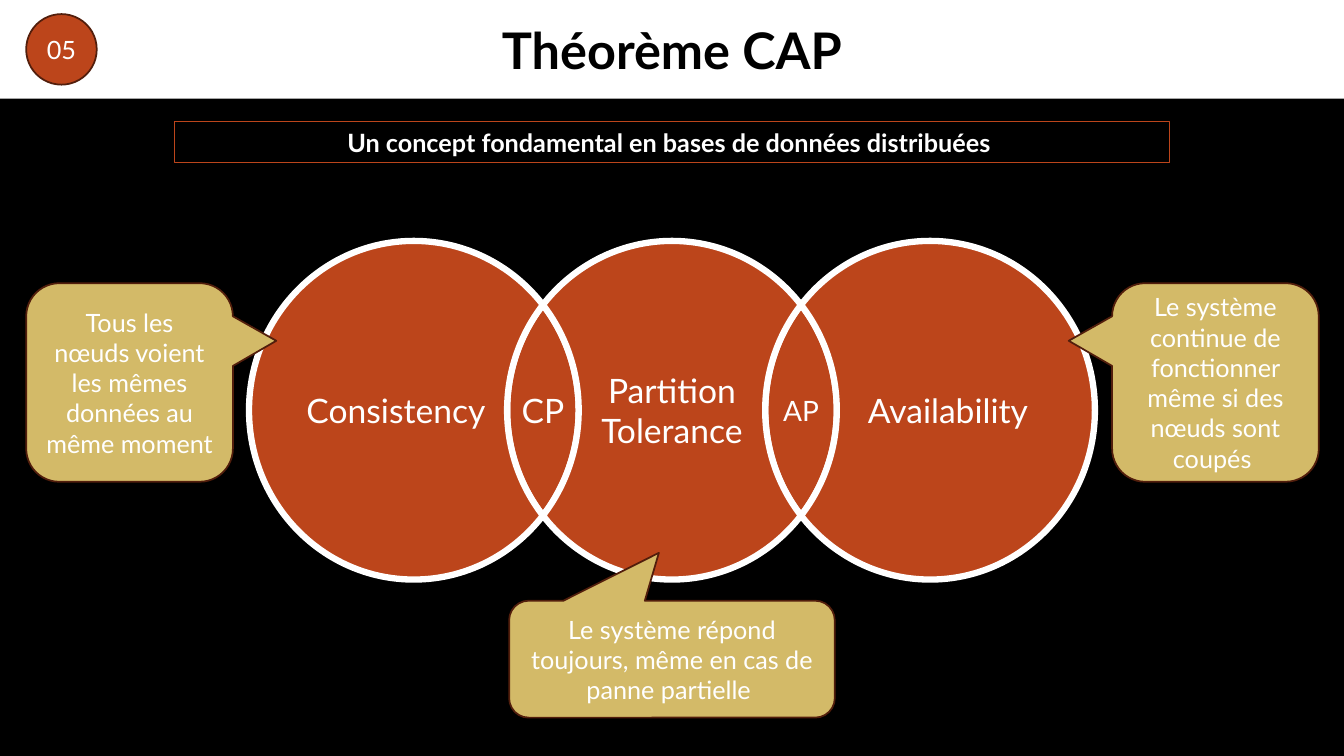
"""Build the slide on the CAP theorem."""
import math
from dataclasses import dataclass

import lxml.etree
import pptx
import pptx.dml.color
import pptx.enum.shapes
import pptx.enum.text
import pptx.oxml.ns
import pptx.util

Inches = pptx.util.Inches
Kind = pptx.enum.shapes.MSO_SHAPE
Anchor = pptx.enum.text.MSO_ANCHOR
Fit = pptx.enum.text.MSO_AUTO_SIZE
qn = pptx.oxml.ns.qn


@dataclass(frozen=True)
class Theme:
    font: str = "Lato"
    black: str = "000000"
    white: str = "FFFFFF"
    rust: str = "BC451B"
    brown: str = "521E0C"
    gold: str = "D3BA68"
    title: int = 36
    large: int = 24
    medium: int = 20
    body: int = 18


@dataclass(frozen=True)
class Arc:
    ring: int
    start: float
    end: float


@dataclass(frozen=True)
class Zone:
    text: str
    size: int
    arcs: tuple[Arc, ...]


@dataclass(frozen=True)
class Callout:
    text: str
    box: tuple[float, float, float, float]
    tip: tuple[float, float]


THEME = Theme()
MID_X, MID_Y = 13.33 / 2, 4.07
RAD_X, RAD_Y = 3.27 / 2, 3.36 / 2
STEP = 2.56
CROSS = math.degrees(math.acos(STEP / 2 / RAD_X))


def right_side(ring: int) -> Arc:
    return Arc(ring, -CROSS, CROSS)


def left_side(ring: int) -> Arc:
    return Arc(ring, 180 - CROSS, 180 + CROSS)


def turn(arc: Arc) -> Arc:
    return Arc(arc.ring, arc.end, arc.start)


ZONES = (
    Zone("CP", THEME.large, (right_side(0), left_side(1))),
    Zone("AP", THEME.medium, (right_side(1), left_side(2))),
    Zone("Consistency", THEME.large,
         (Arc(0, CROSS, 360 - CROSS), turn(left_side(1)))),
    Zone("Partition Tolerance", THEME.large,
         (Arc(1, 180 + CROSS, 360 - CROSS), turn(left_side(2)),
          Arc(1, CROSS, 180 - CROSS), turn(right_side(0)))),
    Zone("Availability", THEME.large,
         (Arc(2, 180 + CROSS, 540 - CROSS), turn(right_side(1)))),
)

CALLOUTS = (
    Callout("Tous les nœuds voient les mêmes données au même moment",
            (0.26, 2.81, 2.05, 1.97), (0.71, -0.21)),
    Callout("Le système continue de fonctionner même si des nœuds sont coupés ",
            (11.03, 2.81, 2.05, 1.97), (-0.71, -0.21)),
    Callout("Le système répond toujours, même en cas de panne partielle ",
            (5.05, 5.96, 3.23, 1.16), (-0.04, -0.91)),
)


def colour(code: str) -> pptx.dml.color.RGBColor:
    return pptx.dml.color.RGBColor.from_string(code)


def outline(shape, line: str, width: float) -> None:
    shape.line.color.rgb = colour(line)
    shape.line.width = pptx.util.Pt(width)


def paint(shape, fill: str, line: str, width: float) -> None:
    shape.shadow.inherit = False
    shape.fill.solid()
    shape.fill.fore_color.rgb = colour(fill)
    outline(shape, line, width)


def write(shape, text: str, size: int, ink: str = THEME.white,
          bold: bool = False) -> None:
    frame = shape.text_frame
    frame.text = text
    frame.word_wrap = True
    frame.auto_size = Fit.NONE
    frame.vertical_anchor = Anchor.MIDDLE
    para = frame.paragraphs[0]
    para.alignment = pptx.enum.text.PP_ALIGN.CENTER
    para.font.name = THEME.font
    para.font.size = pptx.util.Pt(size)
    para.font.bold = bold
    para.font.color.rgb = colour(ink)


def place(ring: int, angle: float, pull: float = 0) -> tuple[int, int]:
    turned = math.radians(angle)
    across = math.cos(turned) - pull * math.sin(turned)
    down = math.sin(turned) + pull * math.cos(turned)
    return (Inches(MID_X + (ring - 1) * STEP + RAD_X * across),
            Inches(MID_Y + RAD_Y * down))


def trace(arc: Arc) -> list[tuple[int, int]]:
    low, high = sorted((arc.start, arc.end))
    stops = [low, *(a for a in range(0, 540, 90) if low < a < high), high]
    if arc.start > arc.end:
        stops.reverse()
    points = []
    for start, end in zip(stops, stops[1:]):
        pull = 4 / 3 * math.tan(math.radians(end - start) / 4)
        points += [place(arc.ring, start, pull), place(arc.ring, end, -pull),
                   place(arc.ring, end)]
    return points


def bend(shape) -> None:
    lines = list(shape._element.iter(qn("a:lnTo")))
    for first in range(0, len(lines), 3):
        group = lines[first:first + 3]
        curve = lxml.etree.Element(qn("a:cubicBezTo"))
        group[0].addprevious(curve)
        for line in group:
            curve.append(line[0])
            line.getparent().remove(line)


def draw_zone(shapes, zone: Zone) -> None:
    first = zone.arcs[0]
    pen = shapes.build_freeform(*place(first.ring, first.start))
    pen.add_line_segments([point for arc in zone.arcs for point in trace(arc)])
    shape = pen.convert_to_shape()
    bend(shape)
    outlines = next(shape._element.iter(qn("a:path")))
    lxml.etree.SubElement(outlines, qn("a:close"))
    for extra in list(outlines.iter(qn("a:close")))[:-1]:
        outlines.remove(extra)
    paint(shape, THEME.rust, THEME.white, 4.5)
    write(shape, zone.text, zone.size)


def draw_callout(shapes, note: Callout) -> None:
    shape = shapes.add_shape(Kind.ROUNDED_RECTANGULAR_CALLOUT,
                             *map(Inches, note.box))
    shape.adjustments[0], shape.adjustments[1] = note.tip
    paint(shape, THEME.gold, THEME.brown, 1.25)
    write(shape, note.text, THEME.body)


def main() -> None:
    deck = pptx.Presentation()
    deck.slide_width, deck.slide_height = Inches(13.33), Inches(7.5)
    slide = deck.slides.add_slide(deck.slide_layouts.get_by_name("Title Only"))
    slide.background.fill.solid()
    slide.background.fill.fore_color.rgb = colour(THEME.black)
    shapes = slide.shapes

    title = shapes.title
    title.left, title.top = Inches(0), Inches(0)
    title.width, title.height = deck.slide_width, Inches(0.98)
    title.fill.solid()
    title.fill.fore_color.rgb = colour(THEME.white)
    write(title, "Théorème CAP", THEME.title, THEME.black, True)

    for zone in ZONES:
        draw_zone(shapes, zone)

    badge = shapes.add_shape(Kind.OVAL, *map(Inches, (0.26, 0.14, 0.7, 0.7)))
    paint(badge, THEME.rust, THEME.brown, 1.25)
    write(badge, "05", THEME.body)

    banner = shapes.add_textbox(*map(Inches, (1.73, 1.21, 9.87, 0.4)))
    outline(banner, THEME.rust, 0.75)
    write(banner, "Un concept fondamental en bases de données distribuées ",
          THEME.body, bold=True)
    banner.text_frame.auto_size = Fit.SHAPE_TO_FIT_TEXT
    banner.text_frame.vertical_anchor = Anchor.TOP

    for note in CALLOUTS:
        draw_callout(shapes, note)
    deck.save("out.pptx")


if __name__ == "__main__":
    main()
